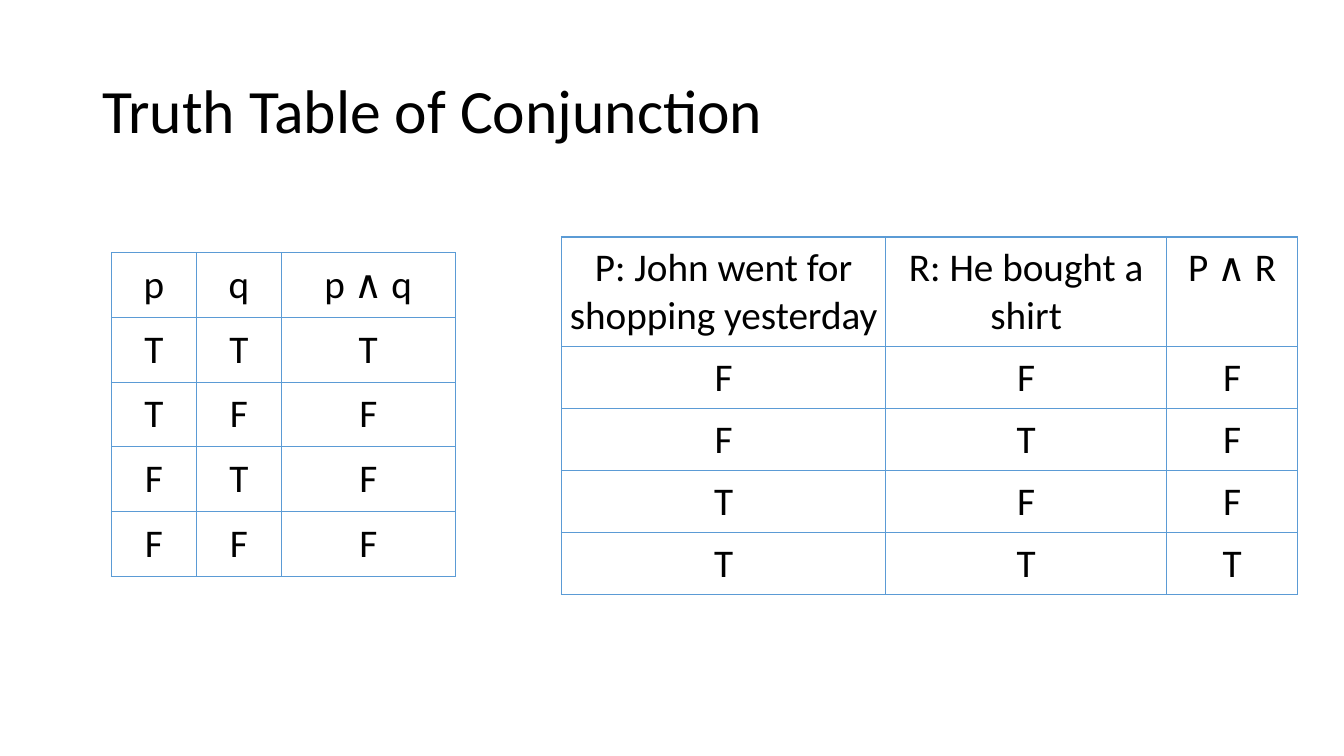
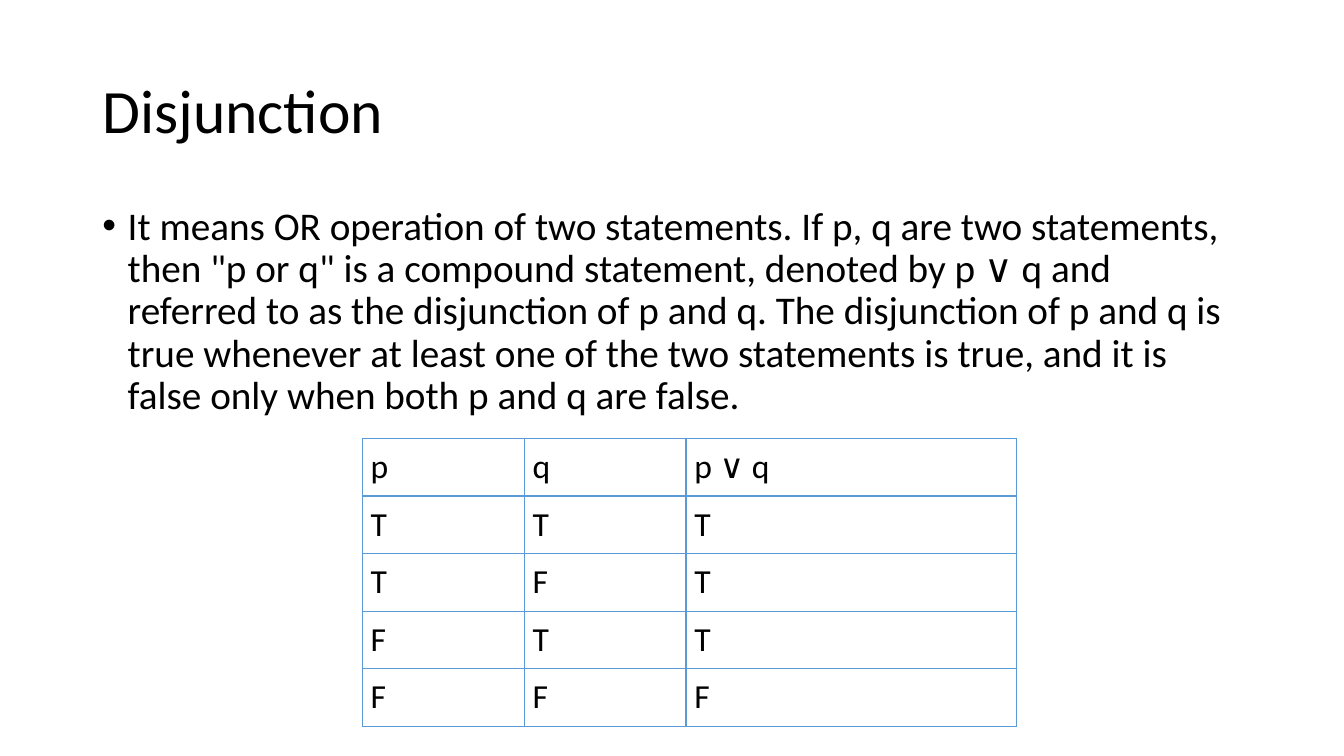
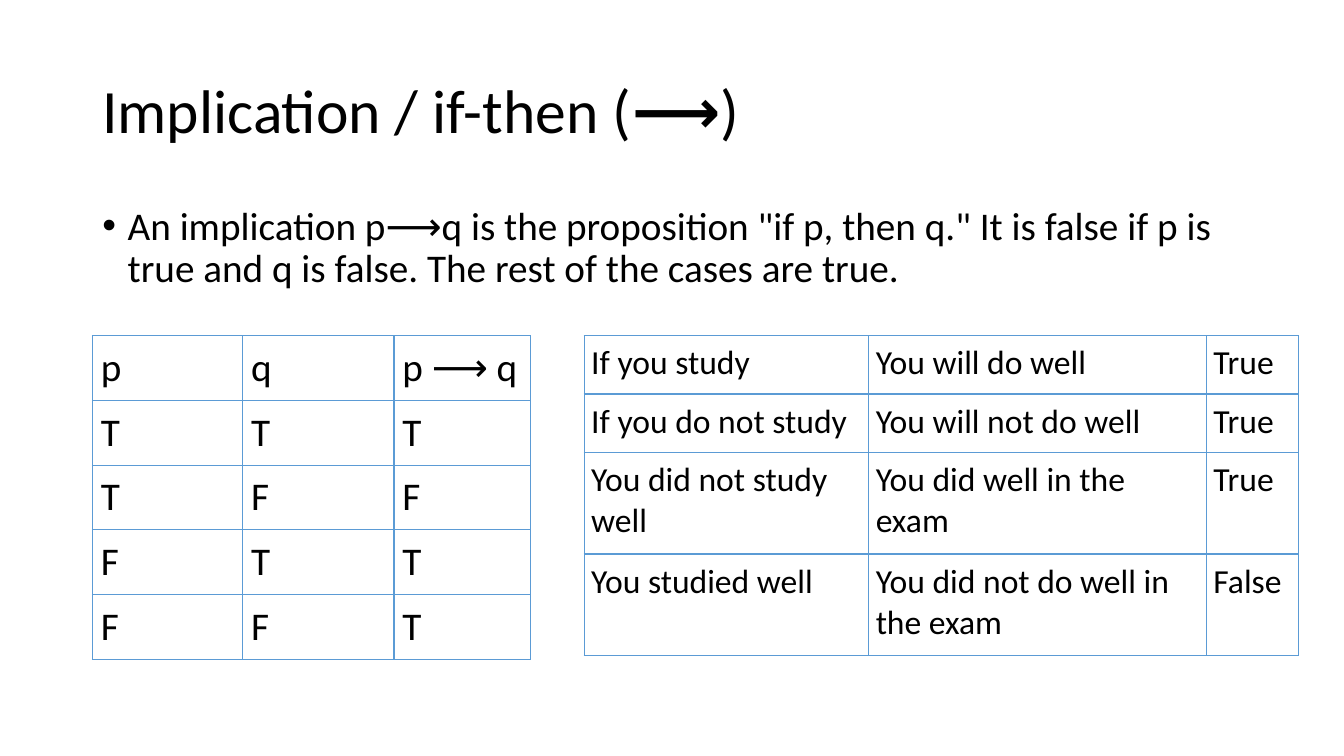
from lxml import etree
from pptx import Presentation
from pptx.dml.color import RGBColor
from pptx.enum.text import MSO_ANCHOR, PP_ALIGN
from pptx.oxml.ns import qn
from pptx.util import Cm, Pt

LEFT, CENTER = PP_ALIGN.LEFT, PP_ALIGN.CENTER
TOP, MIDDLE = MSO_ANCHOR.TOP, MSO_ANCHOR.MIDDLE

FONT = "Calibri"
COLORS = {"text": "000000", "border": "5B9BD5"}
TEXT_LEFT, TEXT_WIDTH = 2.33, 29.21
INDENT = Cm(0.64)
BORDER_TAGS = ("a:lnL", "a:lnR", "a:lnT", "a:lnB")


def add_run(paragraph, text, size, bold=False):
    run = paragraph.add_run()
    run.text = text
    run.font.name = FONT
    run.font.size = Pt(size)
    run.font.bold = bold
    run.font.color.rgb = RGBColor.from_string(COLORS["text"])


def add_paragraph_box(slide, top, height, anchor):
    """Add a full-width text box and return its only paragraph."""
    box = slide.shapes.add_textbox(Cm(TEXT_LEFT), Cm(top), Cm(TEXT_WIDTH), Cm(height))
    box.text_frame.word_wrap = True
    box.text_frame.vertical_anchor = anchor
    paragraph = box.text_frame.paragraphs[0]
    paragraph.line_spacing = 0.9
    return paragraph


# Title runs are (text, bold); all table lengths are in centimetres.
SLIDES = [
    {
        "title": [("Truth Table of Conjunction", False)],
        "tables": [
            {
                "at": (2.81, 6.37), "columns": (2.14, 2.14, 4.38), "heights": [1.63] * 5,
                "margin": 0.21, "size": 28, "align": CENTER,
                "cells": [("p", "q", "p ∧ q"), "TTT", "TFF", "FTF", "FFF"],
            },
            {
                "at": (14.15, 5.97), "columns": (8.17, 7.08, 3.3),
                "heights": [2.77] + [1.56] * 4,
                "margin": 0.18, "size": 28, "align": CENTER,
                "cells": [
                    ("P: John went for shopping yesterday", "R: He bought a shirt", "P ∧ R"),
                    "FFF", "FTF", "TFF", "TTT",
                ],
            },
        ],
    },
    {
        "title": [("Disjunction", False)],
        "body": 'It means OR operation of two statements. If p, q are two statements, '
                'then "p or q" is a compound statement, denoted by p ∨ q and referred to '
                'as the disjunction of p and q. The disjunction of p and q is true '
                'whenever at least one of the two statements is true, and it is false '
                'only when both p and q are false.',
        "body_height": 5.97,
        "tables": [
            {
                "at": (9.13, 11.05), "columns": (4.08, 4.08, 8.32), "heights": [1.45] * 5,
                "margin": 0.21, "size": 24, "align": LEFT,
                "cells": [("p", "q", "p ∨ q"), "TTT", "TFT", "FTT", "FFF"],
            },
        ],
    },
    {
        "title": [("Implication / if-then (", False), ("⟶", True), (")", False)],
        "body": 'An implication p⟶q is the proposition "if p, then q." It is false if '
                'p is true and q is false. The rest of the cases are true.',
        "body_height": 2.46,
        "tables": [
            {
                "at": (2.33, 8.46), "columns": (3.79, 3.81, 3.44), "heights": [1.63] * 5,
                "margin": 0.21, "size": 28, "align": LEFT,
                "cells": [("p", "q", "p ⟶ q"), "TTT", "TFF", "FTT", "FFT"],
            },
            {
                "at": (14.72, 8.46), "columns": (7.17, 8.51, 2.32),
                "heights": [1.47, 1.47, 2.56, 2.56],
                "margin": 0.18, "size": 24, "align": LEFT,
                "cells": [
                    ("If you study", "You will do well", "True"),
                    ("If you do not study", "You will not do well", "True"),
                    ("You did not study well", "You did well in the exam", "True"),
                    ("You studied well", "You did not do well in the exam", "False"),
                ],
            },
        ],
    },
]

deck = Presentation()
deck.slide_width, deck.slide_height = Cm(33.87), Cm(19.05)
blank_layout = deck.slide_layouts[6]

for content in SLIDES:
    slide = deck.slides.add_slide(blank_layout)

    title = add_paragraph_box(slide, 1.01, 3.68, MIDDLE)
    for text, bold in content["title"]:
        add_run(title, text, 44, bold)

    if "body" in content:
        body = add_paragraph_box(slide, 5.07, content["body_height"], TOP)
        body.space_before = Pt(10)
        add_run(body, content["body"], 28)
        properties = body._p.get_or_add_pPr()
        properties.set("marL", str(INDENT))
        properties.set("indent", str(-INDENT))
        etree.SubElement(properties, qn("a:buFont"), typeface="Arial")
        etree.SubElement(properties, qn("a:buChar"), char="•")

    for grid in content["tables"]:
        left, top = grid["at"]
        columns, heights = grid["columns"], grid["heights"]
        table = slide.shapes.add_table(
            len(heights), len(columns), Cm(left), Cm(top), Cm(sum(columns)), Cm(sum(heights))
        ).table
        table.first_row = table.horz_banding = False
        for column, width in zip(table.columns, columns):
            column.width = Cm(width)

        for row, height, values in zip(table.rows, heights, grid["cells"]):
            row.height = Cm(height)
            for cell, value in zip(row.cells, values):
                margin = Cm(grid["margin"])
                cell.margin_left = cell.margin_right = margin
                cell.margin_top = cell.margin_bottom = margin
                paragraph = cell.text_frame.paragraphs[0]
                paragraph.alignment = grid["align"]
                add_run(paragraph, value, grid["size"])
                cell_properties = cell._tc.get_or_add_tcPr()
                for tag in BORDER_TAGS:
                    border = etree.SubElement(cell_properties, qn(tag), w=str(Pt(1)))
                    fill = etree.SubElement(border, qn("a:solidFill"))
                    etree.SubElement(fill, qn("a:srgbClr"), val=COLORS["border"])
                cell.fill.background()

deck.save("out.pptx")
